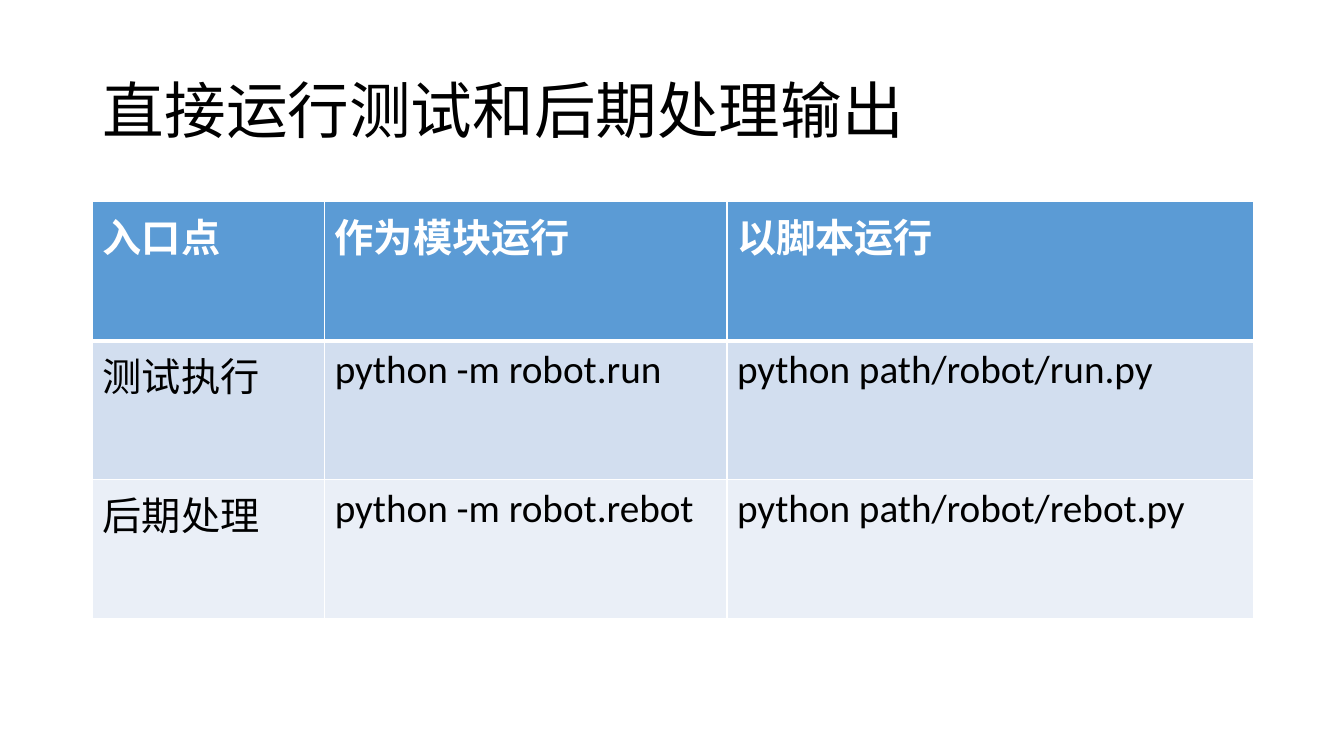
from lxml import etree
from pptx import Presentation
from pptx.dml.color import RGBColor
from pptx.enum import text
from pptx.oxml.ns import qn
from pptx.util import Inches, Pt

# Content
TITLE = "直接运行测试和后期处理输出"
ROWS = [
    ("入口点", "作为模块运行", "以脚本运行"),
    ("测试执行", "python -m robot.run", "python path/robot/run.py"),
    ("后期处理", "python -m robot.rebot", "python path/robot/rebot.py"),
]

# Layout, in inches
TITLE_BOX = (0.92, 0.4, 11.5, 1.45)
TABLE_LEFT, TABLE_TOP = 0.92, 2
COLUMN_WIDTHS = (2.3, 3.99, 5.22)
ROW_HEIGHT = 1.38

THEME = {
    "font": "Calibri",
    "title_size": 44,
    "cell_size": 28,
    "ink": "000000",
    "white": "FFFFFF",
    "row_fills": ("5B9BD5", "D2DEEF", "EAEFF7"),
    "border": 1,
    "header_rule": 3,
}


def format_span(span, size, color, bold=False):
    values = {"name": THEME["font"], "size": Pt(size), "bold": bold}
    for name, value in values.items():
        setattr(span.font, name, value)
    span.font.color.rgb = RGBColor.from_string(color)


def add_borders(cell, widths):
    """Draw the cell's edges; border lines precede the fill in the XML."""
    properties = cell._tc.get_or_add_tcPr()
    for index, (edge, width) in enumerate(widths.items()):
        line = etree.Element(qn(f"a:ln{edge}"), w=str(Pt(width)))
        fill = etree.SubElement(line, qn("a:solidFill"))
        etree.SubElement(fill, qn("a:srgbClr"), val=THEME["white"])
        properties.insert(index, line)


def add_title(page):
    title = page.shapes.title
    for name, value in zip(("left", "top", "width", "height"), TITLE_BOX):
        setattr(title, name, Inches(value))
    frame = title.text_frame
    frame_format = {
        "vertical_anchor": text.MSO_ANCHOR.MIDDLE,
        "auto_size": text.MSO_AUTO_SIZE.NONE,
        "word_wrap": True,
    }
    for name, value in frame_format.items():
        setattr(frame, name, value)
    para = frame.paragraphs[0]
    para.alignment = text.PP_ALIGN.LEFT
    para.line_spacing = 0.9
    span = para.add_run()
    span.text = TITLE
    format_span(span, THEME["title_size"], THEME["ink"])


def add_command_table(page):
    table = page.shapes.add_table(
        len(ROWS), len(COLUMN_WIDTHS), Inches(TABLE_LEFT), Inches(TABLE_TOP),
        Inches(sum(COLUMN_WIDTHS)), Inches(ROW_HEIGHT * len(ROWS))).table
    for column, width in zip(table.columns, COLUMN_WIDTHS):
        column.width = Inches(width)
    for r, labels in enumerate(ROWS):
        table.rows[r].height = Inches(ROW_HEIGHT)
        header = r == 0
        widths = dict.fromkeys("LRTB", THEME["border"])
        # The thick rule is shared by the header and the row below it
        if r < 2:
            widths["B" if header else "T"] = THEME["header_rule"]
        for c, label in enumerate(labels):
            cell = table.cell(r, c)
            cell.fill.solid()
            cell.fill.fore_color.rgb = RGBColor.from_string(THEME["row_fills"][r])
            add_borders(cell, widths)
            span = cell.text_frame.paragraphs[0].add_run()
            span.text = label
            color = THEME["white"] if header else THEME["ink"]
            format_span(span, THEME["cell_size"], color, bold=header)


def main():
    deck = Presentation()
    deck.slide_width, deck.slide_height = Inches(13.33), Inches(7.5)
    page = deck.slides.add_slide(deck.slide_layouts[5])
    add_title(page)
    add_command_table(page)
    deck.save("out.pptx")


if __name__ == "__main__":
    main()
